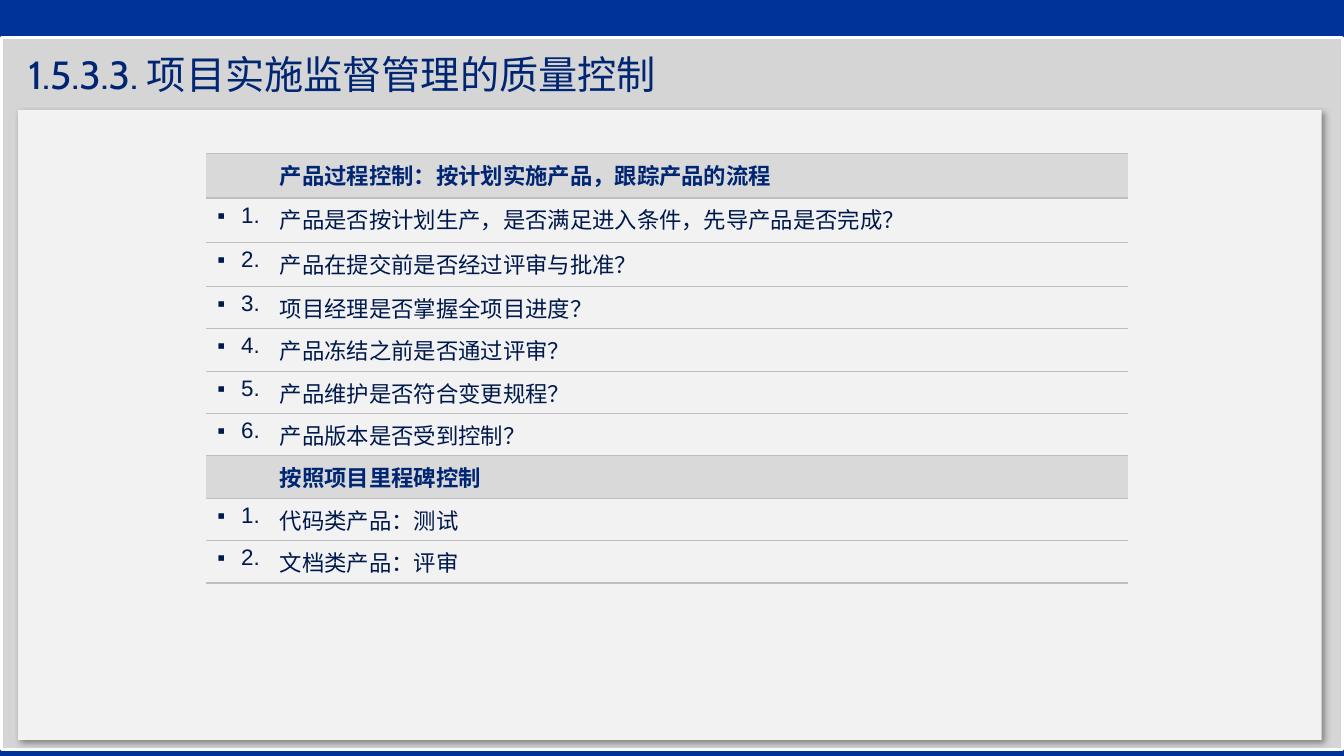
from dataclasses import dataclass

import pptx
import pptx.dml.color
import pptx.enum.shapes
import pptx.enum.text
import pptx.oxml
import pptx.oxml.ns
import pptx.util

Pt = pptx.util.Pt


@dataclass(frozen=True)
class Theme:
    backdrop: str = "003399"
    frame: str = "D5D5D5"
    frame_edge: str = "FFFFFF"
    panel: str = "F2F2F2"
    heading: str = "002673"
    body: str = "00194C"
    band: str = "D9D9D9"
    rule: str = "BFBFBF"
    title_font: str = "Cabin"
    body_font: str = "Arial"
    title_size: float = 28
    body_size: float = 16


THEME = Theme()
TITLE = "1.5.3.3. 项目实施监督管理的质量控制"
SECTIONS = [
    ("产品过程控制：按计划实施产品，跟踪产品的流程", [
        "产品是否按计划生产，是否满足进入条件，先导产品是否完成？",
        "产品在提交前是否经过评审与批准？",
        "项目经理是否掌握全项目进度？",
        "产品冻结之前是否通过评审？",
        "产品维护是否符合变更规程？",
        "产品版本是否受到控制？",
    ]),
    ("按照项目里程碑控制", [
        "代码类产品：测试",
        "文档类产品：评审",
    ]),
]
COLUMN_WIDTHS = (45.4, 612.7)
TALL_ROWS = 3
TALL_HEIGHT, ROW_HEIGHT = 31.6, 30.3


def rgb(value):
    return pptx.dml.color.RGBColor.from_string(value)


def xml(markup):
    head, tail = markup.split(">", 1)
    closing = "/" if head.endswith("/") else ""
    head = head.rstrip("/")
    return pptx.oxml.parse_xml(f"{head} {pptx.oxml.ns.nsdecls('a')}{closing}>{tail}")


def add_rectangle(slide, left, top, width, height, fill, edge=None):
    rectangle = slide.shapes.add_shape(
        pptx.enum.shapes.MSO_SHAPE.RECTANGLE, Pt(left), Pt(top), Pt(width), Pt(height))
    rectangle.shadow.inherit = False
    rectangle.fill.solid()
    rectangle.fill.fore_color.rgb = rgb(fill)
    if edge:
        rectangle.line.color.rgb = rgb(edge)
        rectangle.line.width = Pt(2)
    else:
        rectangle.line.fill.background()
    return rectangle


def add_shadow(rectangle):
    effects = rectangle._element.spPr.find(pptx.oxml.ns.qn("a:effectLst"))
    effects.append(xml(
        f'<a:outerShdw blurRad="{Pt(4)}" dist="{Pt(3)}" dir="2700000" algn="tl" '
        'rotWithShape="0"><a:srgbClr val="000000"><a:alpha val="40000"/>'
        '</a:srgbClr></a:outerShdw>'))


def add_run(paragraph, text, font, size, color, bold=False):
    run = paragraph.add_run()
    run.text = text
    run.font.name = font
    run.font.size = Pt(size)
    run.font.bold = bold
    run.font.color.rgb = rgb(color)


def place_title(slide):
    title = slide.shapes.title
    slide.shapes._spTree.append(title._element)
    title.left, title.top, title.width, title.height = Pt(13), Pt(33.8), Pt(930.2), Pt(38.2)
    frame = title.text_frame
    frame.auto_size = pptx.enum.text.MSO_AUTO_SIZE.NONE
    frame.vertical_anchor = pptx.enum.text.MSO_ANCHOR.MIDDLE
    paragraph = frame.paragraphs[0]
    paragraph.alignment = pptx.enum.text.PP_ALIGN.LEFT
    add_run(paragraph, TITLE, THEME.title_font, THEME.title_size, THEME.heading)


def style_cell(cell, fill=None):
    properties = cell._tc.get_or_add_tcPr()
    for side in ("lnL", "lnR"):
        properties.append(xml(f'<a:{side} w="0"><a:noFill/></a:{side}>'))
    for side in ("lnT", "lnB"):
        properties.append(xml(
            f'<a:{side} w="{Pt(1)}"><a:solidFill><a:srgbClr val="{THEME.rule}"/>'
            f'</a:solidFill></a:{side}>'))
    if fill:
        cell.fill.solid()
        cell.fill.fore_color.rgb = rgb(fill)
    else:
        cell.fill.background()


def add_bullet(paragraph):
    properties = paragraph._p.get_or_add_pPr()
    properties.set("marL", str(Pt(17)))
    properties.set("indent", str(-Pt(17)))
    properties.append(xml(f'<a:buFont typeface="{THEME.body_font}"/>'))
    properties.append(xml('<a:buChar char="▪"/>'))


def fill_row(row, number, text):
    number_cell, text_cell = row.cells
    is_heading = number is None
    for cell in (number_cell, text_cell):
        style_cell(cell, THEME.band if is_heading else None)
    number_paragraph = number_cell.text_frame.paragraphs[0]
    if is_heading:
        number_paragraph.font.size = Pt(THEME.body_size)
    else:
        add_bullet(number_paragraph)
        number_paragraph.alignment = pptx.enum.text.PP_ALIGN.RIGHT
        add_run(number_paragraph, f"{number}.", THEME.body_font, THEME.body_size, THEME.body)
    add_run(text_cell.text_frame.paragraphs[0], text, THEME.body_font, THEME.body_size,
            THEME.heading if is_heading else THEME.body, is_heading)


def add_checklist(slide):
    entries = []
    for heading, questions in SECTIONS:
        entries.append((None, heading))
        entries.extend(enumerate(questions, 1))
    heights = [TALL_HEIGHT if index < TALL_ROWS else ROW_HEIGHT
               for index in range(len(entries))]
    checklist = slide.shapes.add_table(
        len(entries), len(COLUMN_WIDTHS), Pt(147.4), Pt(109.8),
        Pt(sum(COLUMN_WIDTHS)), Pt(sum(heights))).table
    checklist.first_row = False
    checklist.horz_banding = False
    for column, width in zip(checklist.columns, COLUMN_WIDTHS):
        column.width = Pt(width)
    for row, height, (number, text) in zip(checklist.rows, heights, entries):
        row.height = Pt(height)
        fill_row(row, number, text)


def main():
    deck = pptx.Presentation()
    deck.slide_width, deck.slide_height = Pt(960), Pt(540)
    slide = deck.slides.add_slide(deck.slide_layouts[5])
    slide.background.fill.solid()
    slide.background.fill.fore_color.rgb = rgb(THEME.backdrop)
    add_rectangle(slide, 1.2, 27, 957.6, 508.3, THEME.frame, THEME.frame_edge)
    panel = add_rectangle(slide, 13, 78.5, 931, 450, THEME.panel)
    add_shadow(panel)
    place_title(slide)
    add_checklist(slide)
    deck.save("out.pptx")


if __name__ == "__main__":
    main()
